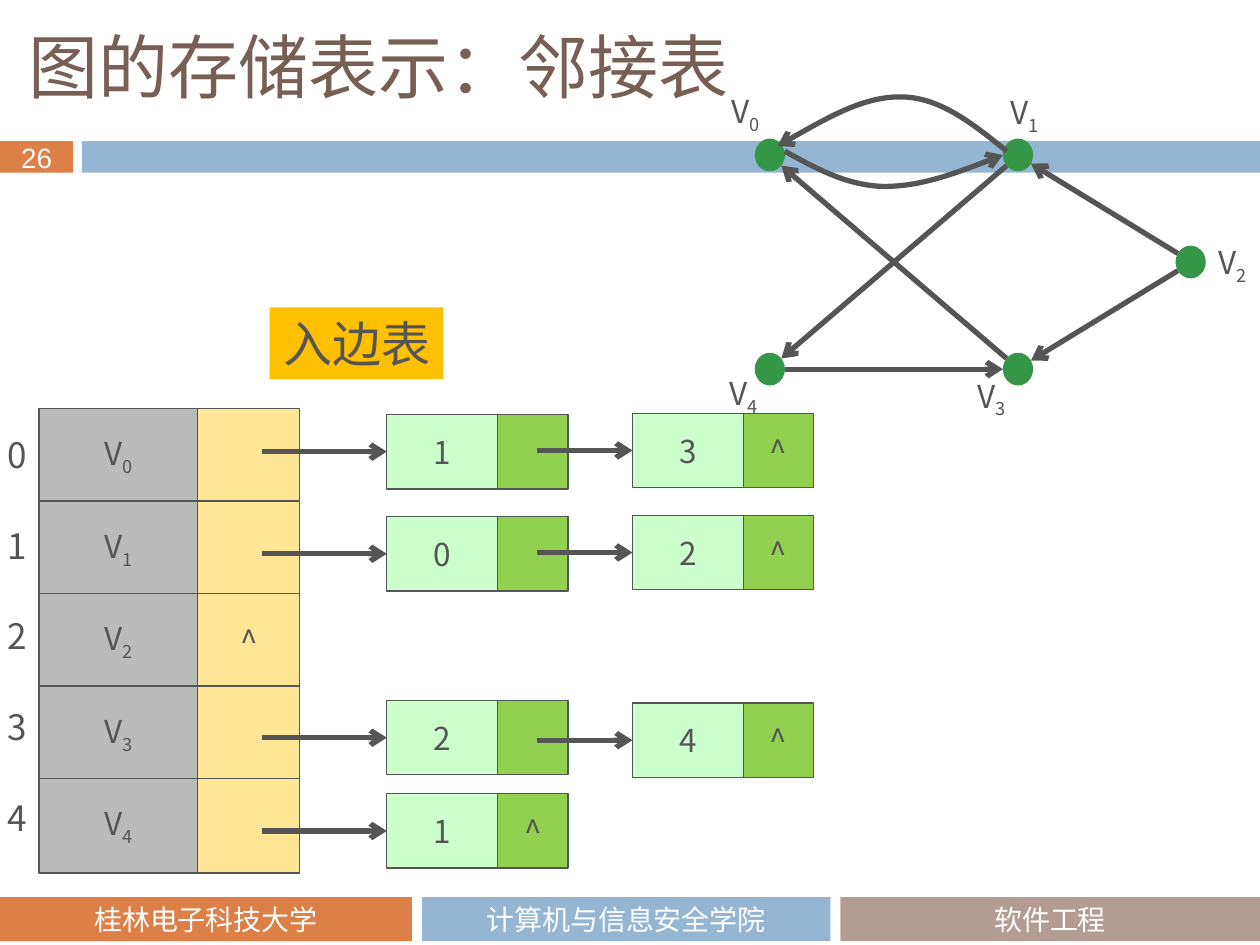
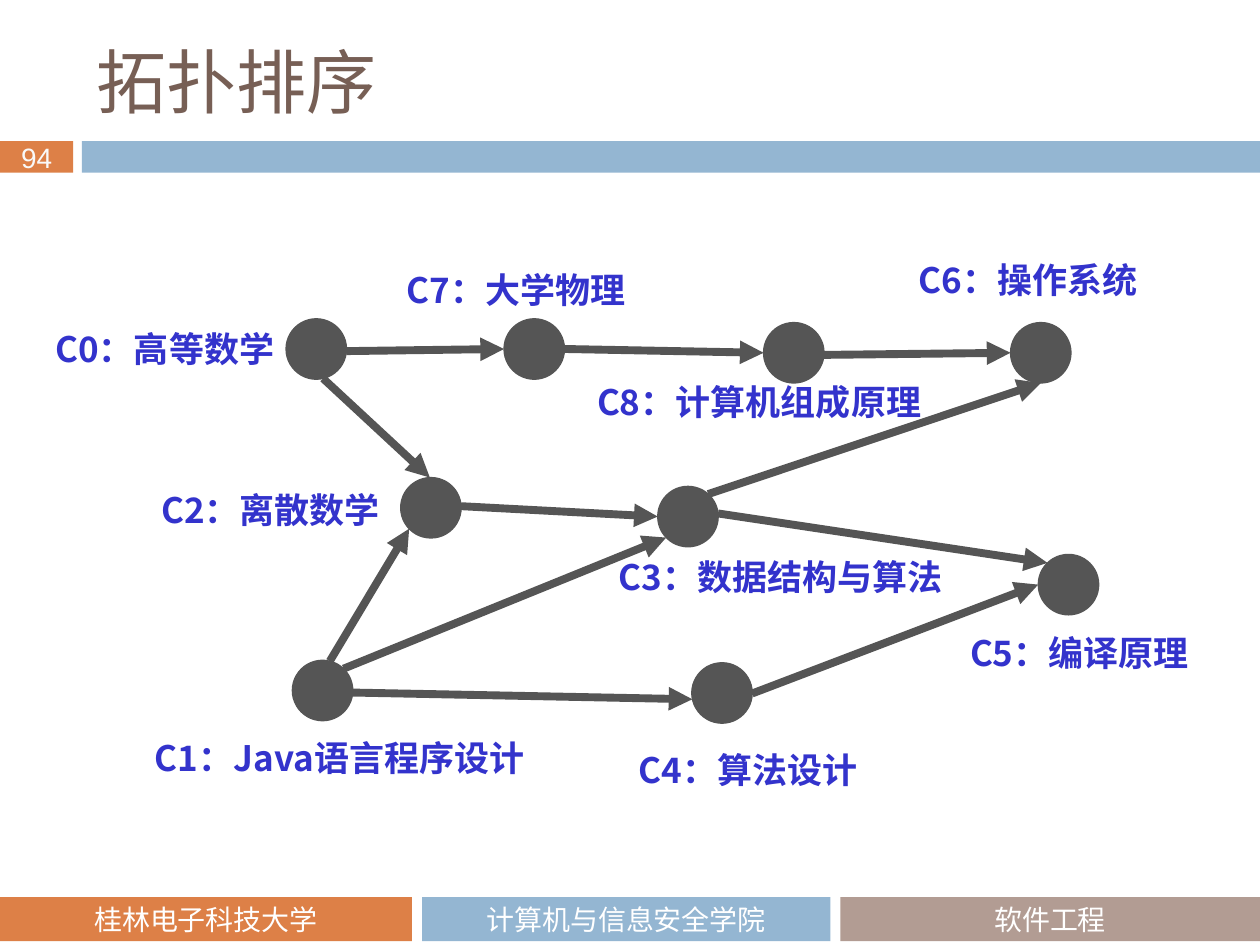
from math import atan2, cos, degrees, radians, sin

from lxml.etree import SubElement
from pptx import Presentation
from pptx.dml.color import RGBColor
from pptx.enum.shapes import MSO_CONNECTOR, MSO_SHAPE
from pptx.enum.text import MSO_ANCHOR, PP_ALIGN
from pptx.oxml.ns import qn
from pptx.util import Inches, Pt

# Shared look
WIDTH, HEIGHT = 10, 7.5
SANS = "Noto Sans CJK SC"
TITLE_FONT = "Noto Sans CJK JP"
INK, WHITE, BROWN, NAVY = "555555", "FFFFFF", "775F55", "3333CC"
ORANGE, BLUE, TAUPE = "DD8047", "94B6D2", "B29C93"
GREEN, GREY, CREAM, MINT, LIME, AMBER = (
    "369648", "BBBBBB", "FFE697", "CCFFCC", "92D050", "FFC000")
BAND_TOP, BAND_HEIGHT = 1.12, 0.25
FOOTER_TOP, FOOTER_HEIGHT = 7.12, 0.35
FOOTERS = [
    ("桂林电子科技大学", 0, 3.27, ORANGE),
    ("计算机与信息安全学院", 3.35, 3.24, BLUE),
    ("软件工程", 6.67, 3.33, TAUPE),
]

# Slide 1: directed graph; vertex -> (centre, label corner)
VERTICES = {
    0: ((6.11, 1.23), (5.71, 0.7)),
    1: ((8.08, 1.23), (7.92, 0.71)),
    2: ((9.45, 2.08), (9.57, 1.9)),
    3: ((8.08, 2.93), (7.66, 2.96)),
    4: ((6.11, 2.93), (5.69, 2.94)),
}
VERTEX_RADII = (0.12, 0.13)
STRAIGHT_EDGES = [(4, 3), (2, 1), (2, 3), (3, 0), (1, 4)]
# Start point, then two Bezier controls and an end for each piece
CURVED_EDGES = [
    [(6.23, 1.2), (6.48, 1.34), (6.72, 1.47), (7.01, 1.48),
     (7.3, 1.48), (7.63, 1.36), (7.96, 1.23)],
    [(7.99, 1.2), (7.73, 0.99), (7.47, 0.78), (7.17, 0.77),
     (6.87, 0.76), (6.52, 0.96), (6.17, 1.16)],
]
CURVE_UNITS = 100  # whole path units to the inch
LIST_NAME = "入边表"
# One list per vertex: (source vertex, top of its node)
IN_EDGES = [
    [(1, 3.29), (3, 3.28)],
    [(0, 4.1), (2, 4.09)],
    [],
    [(2, 5.56), (4, 5.58)],
    [(1, 6.3)],
]
END_MARK = "^"
HEAD_LEFT, HEAD_TOP, HEAD_WIDTHS, HEAD_HEIGHT = 0.31, 3.24, (1.26, 0.81), 0.75
HEAD_STEP = (6.18 - HEAD_TOP) / 4
NODE_LEFT, NODE_STEP, NODE_WIDTHS, NODE_HEIGHT = 3.07, 1.95, (0.88, 0.56), 0.59
ARROW_STARTS = (2.08, 4.26)

# Slide 2: course -> (centre, name, label corner, label width)
COURSES = {
    "C0": ((2.51, 2.77), "高等数学", (0.34, 2.55), 1.98),
    "C1": ((2.56, 5.48), "Java语言程序设计", (1.13, 5.8), 3.34),
    "C2": ((3.42, 4.03), "离散数学", (1.18, 3.83), 2.55),
    "C3": ((5.46, 4.1), "数据结构与算法", (4.81, 4.36), 2.92),
    "C4": ((5.73, 5.5), "算法设计", (4.97, 5.89), 1.98),
    "C5": ((8.48, 4.64), "编译原理", (7.6, 4.96), 2.09),
    "C6": ((8.26, 2.8), "操作系统", (7.19, 2), 2.13),
    "C7": ((4.24, 2.77), "大学物理", (3.13, 2.08), 2.26),
    "C8": ((6.3, 2.8), "计算机组成原理", (4.64, 2.97), 3.06),
}
COURSE_RADII = (0.24, 0.24)
# Course, later course, angles on the rim where the arrow leaves and enters
PREREQUISITES = [
    ("C0", "C7", 4, 180), ("C7", "C8", 0, 180), ("C8", "C6", 4, 180),
    ("C0", "C2", 77, -92), ("C1", "C2", -76, 136), ("C1", "C3", -46, 136),
    ("C1", "C4", 4, 168), ("C2", "C3", -3, 180), ("C3", "C5", -6, -134),
    ("C4", "C5", 1, 180), ("C3", "C6", -48, 90),
]


def rgb(code):
    return RGBColor.from_string(code)


def add_run(paragraph, words, size, color, font=SANS, bold=False, subscript=False):
    run = paragraph.add_run()
    run.text = words
    run.font.size, run.font.bold = Pt(size), bold
    run.font.color.rgb = rgb(color)
    run.font.name = font
    properties = run.font._element
    east_asian = font if font.startswith("Noto") else SANS
    SubElement(properties, qn("a:ea")).set("typeface", east_asian)
    if subscript:
        properties.set("baseline", "-25000")


def add_vertex_name(paragraph, number):
    add_run(paragraph, "V", 18, INK)
    add_run(paragraph, str(number), 18, INK, subscript=True)


def add_block(slide, left, top, width, height, fill, outline=None, preset=MSO_SHAPE.RECTANGLE):
    block = slide.shapes.add_shape(
        preset, Inches(left), Inches(top), Inches(width), Inches(height))
    block.shadow.inherit = False
    block.fill.solid()
    block.fill.fore_color.rgb = rgb(fill)
    if outline:
        block.line.color.rgb = rgb(outline)
        block.line.width = Pt(0.75)
    else:
        block.line.fill.background()
    return block


def centred(block):
    """Return the first paragraph of a block, centred both ways."""
    frame = block.text_frame
    frame.margin_left = frame.margin_right = 0
    frame.margin_top = frame.margin_bottom = 0
    frame.vertical_anchor = MSO_ANCHOR.MIDDLE
    frame.paragraphs[0].alignment = PP_ALIGN.CENTER
    return frame.paragraphs[0]


def add_text(slide, left, top, width, height, anchor=MSO_ANCHOR.TOP):
    frame = slide.shapes.add_textbox(
        Inches(left), Inches(top), Inches(width), Inches(height)).text_frame
    frame.word_wrap = True
    frame.vertical_anchor = anchor
    return frame


def add_dot(slide, centre, radii, fill, outline=None):
    (x, y), (rx, ry) = centre, radii
    add_block(slide, x - rx, y - ry, 2 * rx, 2 * ry, fill, outline, MSO_SHAPE.OVAL)


def set_arrow(shape, weight, head):
    shape.line.color.rgb = rgb(INK)
    shape.line.width = Pt(weight)
    SubElement(shape.line._get_or_add_ln(), qn("a:tailEnd")).set("type", head)


def add_arrow(slide, start, end, weight=3, head="arrow"):
    arrow = slide.shapes.add_connector(
        MSO_CONNECTOR.STRAIGHT, *(Inches(v) for v in (*start, *end)))
    set_arrow(arrow, weight, head)
    SubElement(arrow._element.spPr, qn("a:effectLst"))
    return arrow


def rim_point(centre, radii, angle):
    turn = radians(angle)
    return centre[0] + radii[0] * cos(turn), centre[1] + radii[1] * sin(turn)


def add_curve(slide, points):
    # The builder rounds to whole units, so inches are scaled up first
    start, *others = [(round(x * CURVE_UNITS), round(y * CURVE_UNITS)) for x, y in points]
    outline = slide.shapes.build_freeform(*start, scale=Inches(1) / CURVE_UNITS)
    outline.add_line_segments(others, close=False)
    curve = outline.convert_to_shape()
    curve.shadow.inherit = False
    curve.fill.background()
    # Turn every three line segments into one Bezier piece
    segments = list(curve._element.iter(qn("a:lnTo")))
    path = segments[0].getparent()
    for first in range(0, len(segments), 3):
        piece = SubElement(path, qn("a:cubicBezTo"))
        for segment in segments[first:first + 3]:
            piece.append(segment[0])
            path.remove(segment)
    set_arrow(curve, 3, "arrow")


def new_slide(deck, title, corner, page):
    slide = deck.slides.add_slide(deck.slide_layouts[6])
    number = add_block(slide, 0, BAND_TOP, 0.58, BAND_HEIGHT, ORANGE)
    add_run(centred(number), str(page), 16, "F9F9F9", "Arial")
    add_block(slide, 0.65, BAND_TOP, WIDTH - 0.65, BAND_HEIGHT, BLUE)
    for words, left, width, fill in FOOTERS:
        footer = add_block(slide, left, FOOTER_TOP, width, FOOTER_HEIGHT, fill)
        add_run(centred(footer), words, 16, WHITE, "Calibri")
    heading = add_text(slide, *corner, 8.92, 0.78, MSO_ANCHOR.MIDDLE)
    add_run(heading.paragraphs[0], title, 40, BROWN, TITLE_FONT)
    return slide


def draw_graph(slide):
    for number, (centre, corner) in VERTICES.items():
        add_dot(slide, centre, VERTEX_RADII, GREEN)
        label = add_text(slide, *corner, 0.48, 0.4, MSO_ANCHOR.MIDDLE)
        add_vertex_name(label.paragraphs[0], number)
    for source, target in STRAIGHT_EDGES:
        (x1, y1), (x2, y2) = VERTICES[source][0], VERTICES[target][0]
        angle = degrees(atan2(y2 - y1, x2 - x1))
        add_arrow(slide, rim_point((x1, y1), VERTEX_RADII, angle),
                  rim_point((x2, y2), VERTEX_RADII, angle + 180))
    for points in CURVED_EDGES:
        add_curve(slide, points)


def add_pair(slide, left, top, widths, height, fills):
    """Add a data cell and the pointer cell to its right."""
    return (add_block(slide, left, top, widths[0], height, fills[0], INK),
            add_block(slide, left + widths[0], top, widths[1], height, fills[1], INK))


def draw_adjacency_list(slide):
    name = add_block(slide, 2.14, 2.44, 1.38, 0.57, AMBER)
    add_run(centred(name), LIST_NAME, 28, INK)

    indexes = add_text(slide, -0.04, 3.36, 0.38, 3.38)
    for vertex in range(len(IN_EDGES)):
        paragraph = indexes.add_paragraph() if vertex else indexes.paragraphs[0]
        paragraph.line_spacing = Pt(26)
        if vertex:
            paragraph.space_before = Pt(26)
        add_run(paragraph, str(vertex), 20, INK)

    for vertex, sources in enumerate(IN_EDGES):
        head, pointer = add_pair(slide, HEAD_LEFT, HEAD_TOP + vertex * HEAD_STEP,
                                 HEAD_WIDTHS, HEAD_HEIGHT, (GREY, CREAM))
        add_vertex_name(centred(head), vertex)
        for column, (source, top) in enumerate(sources):
            left, middle = NODE_LEFT + column * NODE_STEP, top + NODE_HEIGHT / 2
            node, pointer = add_pair(slide, left, top, NODE_WIDTHS, NODE_HEIGHT, (MINT, LIME))
            add_run(centred(node), str(source), 18, INK)
            arrow = add_arrow(slide, (ARROW_STARTS[column], middle), (left, middle))
            arrow.end_connect(node, 1)
        add_run(centred(pointer), END_MARK, 18, INK)


def draw_courses(slide):
    for code, (centre, name, corner, width) in COURSES.items():
        paragraph = add_text(slide, *corner, width, 0.44).paragraphs[0]
        indent = paragraph._p.get_or_add_pPr()
        indent.set("marL", str(Inches(0.38)))
        indent.set("indent", str(-Inches(0.38)))
        add_run(paragraph, f"{code}：{name}", 20, NAVY, bold=True)
        add_dot(slide, centre, COURSE_RADII, INK, INK)
    for before, after, leave, enter in PREREQUISITES:
        add_arrow(slide, rim_point(COURSES[before][0], COURSE_RADII, leave),
                  rim_point(COURSES[after][0], COURSE_RADII, enter), 4.5, "triangle")


def main():
    deck = Presentation()
    deck.slide_width, deck.slide_height = Inches(WIDTH), Inches(HEIGHT)
    storage = new_slide(deck, "图的存储表示：邻接表", (0.13, 0.13), 26)
    draw_graph(storage)
    draw_adjacency_list(storage)
    draw_courses(new_slide(deck, "拓扑排序", (0.67, 0.25), 94))
    deck.save("out.pptx")


if __name__ == "__main__":
    main()
